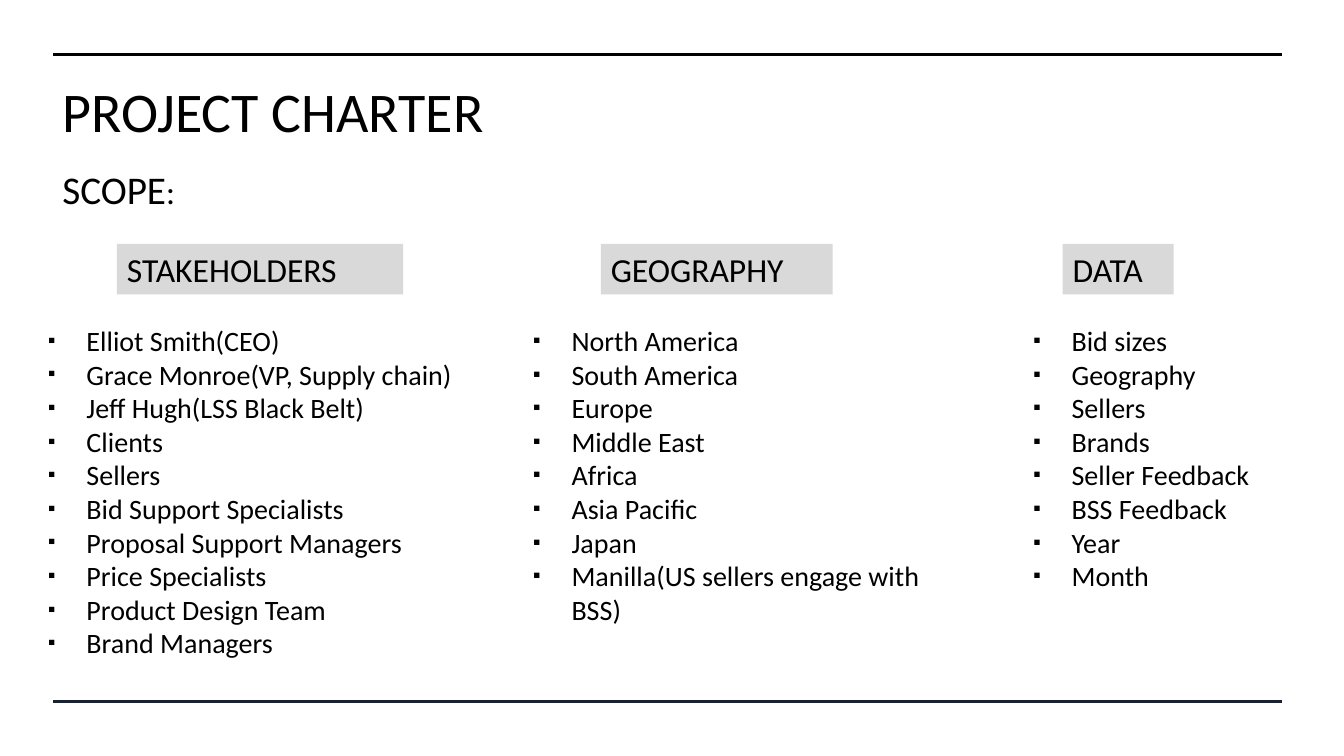
"""Build the project charter scope slide."""
import pptx
import pptx.util
import pptx.dml.color
import pptx.enum.shapes
import pptx.enum.text
import lxml.etree

PX = 9144
BLACK = pptx.dml.color.RGBColor(0x00, 0x00, 0x00)
NAVY = pptx.dml.color.RGBColor(0x18, 0x22, 0x30)
GREY = pptx.dml.color.RGBColor(0xD9, 0xD9, 0xD9)
A = "{http://schemas.openxmlformats.org/drawingml/2006/main}"

prs = pptx.Presentation()
prs.slide_width = 1333 * PX
prs.slide_height = 750 * PX
s = prs.slides.add_slide(prs.slide_layouts[6])


def add_text(paragraphs, left, top, width, height, size=20, fill=None,
             anchor=pptx.enum.text.MSO_ANCHOR.TOP, bullet_pct=None):
    box = [v * PX for v in (left, top, width, height)]
    if fill is None:
        sp = s.shapes.add_textbox(*box)
    else:
        sp = s.shapes.add_shape(pptx.enum.shapes.MSO_SHAPE.RECTANGLE, *box)
        sp.shadow.inherit = False
        sp.fill.solid()
        sp.fill.fore_color.rgb = fill
        sp.line.fill.background()
    tf = sp.text_frame
    tf.word_wrap = True
    tf.vertical_anchor = anchor
    for i, text in enumerate(paragraphs):
        p = tf.paragraphs[0] if i == 0 else tf.add_paragraph()
        p.alignment = pptx.enum.text.PP_ALIGN.LEFT
        r = p.add_run()
        r.text = text
        r.font.name = "Calibri"
        r.font.size = pptx.util.Pt(size)
        r.font.color.rgb = BLACK
        if bullet_pct:
            pPr = p._p.get_or_add_pPr()
            pPr.set("marL", str(38 * PX))
            pPr.set("indent", str(-38 * PX))
            lxml.etree.SubElement(pPr, A + "buSzPct", val=str(bullet_pct * 1000))
            lxml.etree.SubElement(pPr, A + "buFont", typeface="Calibri")
            lxml.etree.SubElement(pPr, A + "buChar", char="▪")
    return tf


add_text(["PROJECT CHARTER"], 52, 78, 920, 63, size=40,
         anchor=pptx.enum.text.MSO_ANCHOR.MIDDLE)

for y, color in [(54, BLACK), (696, NAVY)]:
    rule = s.shapes.add_connector(pptx.enum.shapes.MSO_CONNECTOR.STRAIGHT,
                                  53 * PX, y * PX, 1272 * PX, y * PX)
    rule.line.color.rgb = color
    rule.line.width = pptx.util.Pt(2.25)
    lxml.etree.SubElement(rule._element.spPr, A + "effectLst")

tf = add_text(["SCOPE"], 52, 159, 510, 57, size=28)
r = tf.paragraphs[0].add_run()
r.text = ":"
r.font.name = "Calibri"
r.font.size = pptx.util.Pt(24)
r.font.color.rgb = BLACK

columns = [
    ("STAKEHOLDERS", 116, 284, 38, 447, 347, 74,
     ["Elliot Smith(CEO)", "Grace Monroe(VP, Supply chain)",
      "Jeff Hugh(LSS Black Belt)", "Clients", "Sellers",
      "Bid Support Specialists", "Proposal Support Managers",
      "Price Specialists", "Product Design Team", "Brand Managers"]),
    ("GEOGRAPHY", 596, 230, 519, 415, 313, 75,
     ["North America", "South America", "Europe", "Middle East", "Africa",
      "Asia Pacific", "Japan", "Manilla(US sellers engage with BSS)"]),
    ("DATA", 1054, 110, 1015, 249, 279, 75,
     ["Bid sizes", "Geography", "Sellers", "Brands", "Seller Feedback",
      "BSS Feedback", "Year", "Month"]),
]
for heading, head_x, head_w, list_x, list_w, list_h, bullet_pct, items in columns:
    add_text(items, list_x, 316, list_w, list_h, bullet_pct=bullet_pct)
    add_text([heading], head_x, 242, head_w, 50, size=24, fill=GREY)

prs.save("out.pptx")
